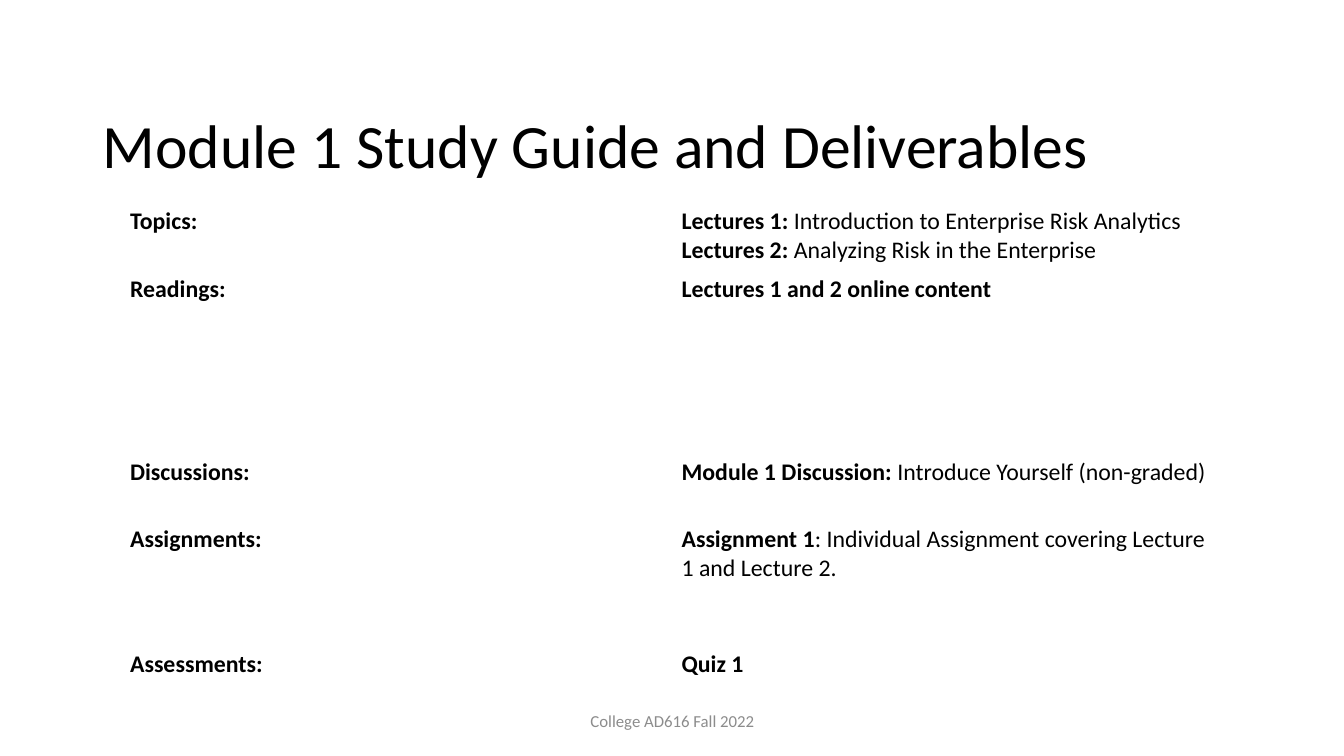
"""Build the Module 1 study guide slide."""
from pptx import Presentation
from pptx.dml.color import RGBColor
from pptx.enum.text import MSO_ANCHOR, PP_ALIGN
from pptx.util import Inches, Pt

BOTTOM, MIDDLE = MSO_ANCHOR.BOTTOM, MSO_ANCHOR.MIDDLE
LEFT, CENTER = PP_ALIGN.LEFT, PP_ALIGN.CENTER
TITLE_ONLY = 5
FONT = "Calibri"
BLACK, GRAY = "000000", "8C8C8C"

TITLE = "Module 1 Study Guide and Deliverables"
FOOTER = "College AD616 Fall 2022"
GUIDE = [
    ("Topics:", 0.67, [("Lectures 1:", "\u00a0Introduction to Enterprise Risk Analytics"),
                       ("Lectures 2:", "\u00a0Analyzing Risk in the Enterprise")]),
    ("Readings:", 1.81, [("Lectures 1 and 2 online content", "")]),
    ("Discussions:", 0.67, [("Module 1 Discussion:", "\u00a0Introduce Yourself (non-graded)")]),
    ("Assignments:", 1.24, [("Assignment 1",
                             ": Individual Assignment covering Lecture 1 and Lecture 2.")]),
    ("Assessments:", 0.38, [("Quiz 1", "")]),
]
COLUMN_WIDTH = 5.47


def style(paragraph, size, color, align=LEFT):
    paragraph.font.name = FONT
    paragraph.font.size = Pt(size)
    paragraph.font.color.rgb = RGBColor.from_string(color)
    paragraph.alignment = align


def fill_cell(cell, lines):
    cell.fill.background()
    for index, (lead, detail) in enumerate(lines):
        frame = cell.text_frame
        paragraph = frame.paragraphs[0] if index == 0 else frame.add_paragraph()
        style(paragraph, 17, BLACK)
        for text, bold in ((lead, True), (detail, False)):
            if text:
                run = paragraph.add_run()
                run.text = text
                run.font.bold = bold


def add_title(slide):
    title = slide.shapes.title
    title.left, title.top = Inches(0.92), Inches(0.4)
    title.width, title.height = Inches(11.5), Inches(1.45)
    title.text_frame.text = TITLE
    title.text_frame.vertical_anchor = BOTTOM
    heading = title.text_frame.paragraphs[0]
    heading.line_spacing = 0.9
    style(heading, 44, BLACK)


def add_guide(slide):
    height = sum(row_height for _, row_height, _ in GUIDE)
    guide = slide.shapes.add_table(len(GUIDE), 2, Inches(1.19), Inches(2),
                                   Inches(2 * COLUMN_WIDTH), Inches(height)).table
    guide.first_row = guide.horz_banding = False
    for column in guide.columns:
        column.width = Inches(COLUMN_WIDTH)
    for index, (label, row_height, lines) in enumerate(GUIDE):
        guide.rows[index].height = Inches(row_height)
        fill_cell(guide.cell(index, 0), [(label, "")])
        fill_cell(guide.cell(index, 1), lines)


def add_footer(slide):
    footer = slide.shapes.add_textbox(Inches(4.42), Inches(6.95), Inches(4.5), Inches(0.4))
    frame = footer.text_frame
    frame.word_wrap = True
    frame.vertical_anchor = MIDDLE
    frame.text = FOOTER
    style(frame.paragraphs[0], 12, GRAY, CENTER)


def main():
    deck = Presentation()
    deck.slide_width, deck.slide_height = Inches(13.33), Inches(7.5)
    slide = deck.slides.add_slide(deck.slide_layouts[TITLE_ONLY])
    add_title(slide)
    add_guide(slide)
    add_footer(slide)
    deck.save("out.pptx")


if __name__ == "__main__":
    main()
